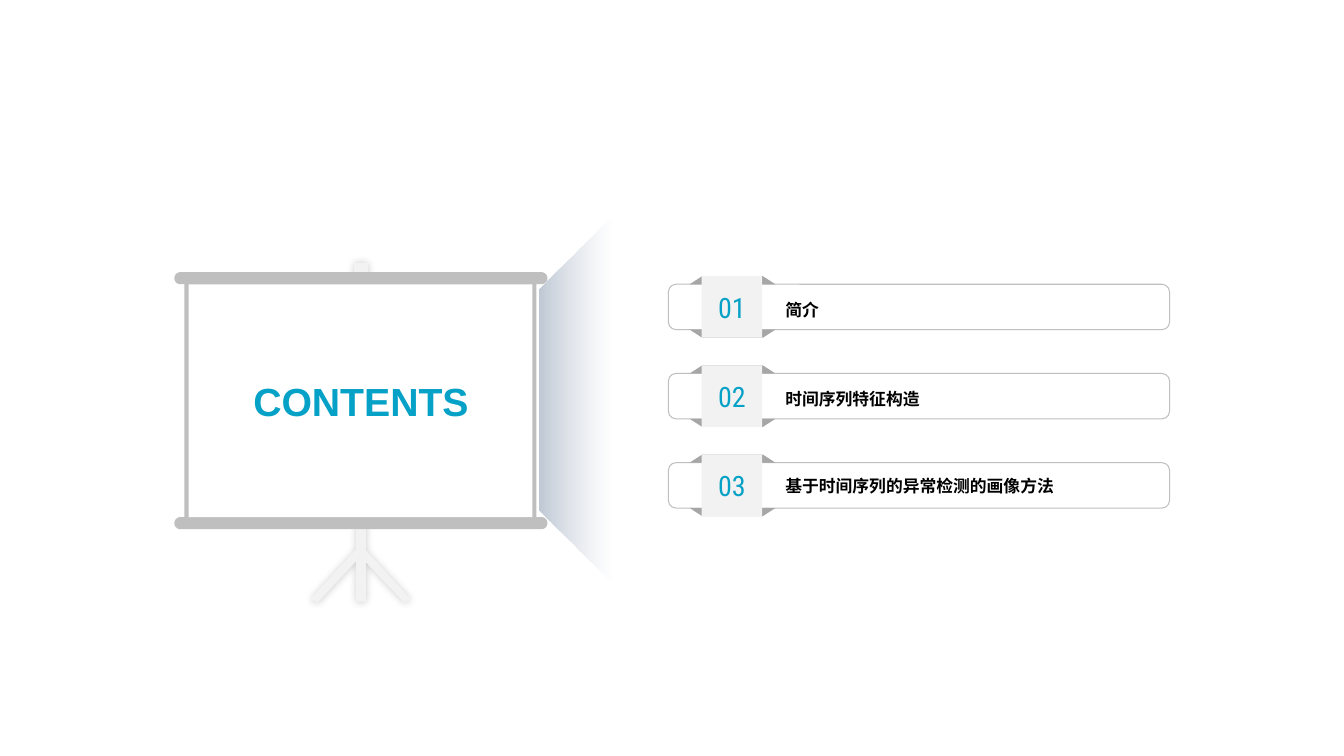
"""Build a contents slide with a projection screen and three numbered entries."""
import math
from dataclasses import dataclass

import lxml.etree
import pptx
import pptx.dml.color
import pptx.enum.shapes
import pptx.enum.text
import pptx.oxml.ns
import pptx.shapes.autoshape
import pptx.slide
import pptx.util

Inches = pptx.util.Inches
Pt = pptx.util.Pt
RGB = pptx.dml.color.RGBColor
MSO_SHAPE = pptx.enum.shapes.MSO_SHAPE
PP_ALIGN = pptx.enum.text.PP_ALIGN
MIDDLE = pptx.enum.text.MSO_ANCHOR.MIDDLE
Shape = pptx.shapes.autoshape.Shape
Point = tuple[float, float]
Box = tuple[float, float, float, float]


@dataclass(frozen=True)
class Theme:
    accent: RGB = RGB(0x06, 0xA1, 0xC6)
    ink: RGB = RGB(0, 0, 0)
    paper: RGB = RGB(0xFF, 0xFF, 0xFF)
    pale: RGB = RGB(0xF2, 0xF2, 0xF2)
    frame: RGB = RGB(0xBF, 0xBF, 0xBF)
    fold: RGB = RGB(0xA6, 0xA6, 0xA6)
    beam_near: RGB = RGB(0xC0, 0xC9, 0xD6)
    beam_far: RGB = RGB(0xD8, 0xDE, 0xE6)
    font: str = "Arial"
    number_font: str = "Roboto Condensed"
    title_size: int = 28
    number_size: int = 20
    entry_size: int = 12


@dataclass(frozen=True)
class Entry:
    number: str
    heading: str
    line_spacing: float = 1.3


THEME = Theme()
ENTRIES = (
    Entry("01", "简介"),
    Entry("02", "时间序列特征构造"),
    Entry("03", "基于时间序列的异常检测的画像方法", 1.0),
)
FIRST_ROW, LAST_ROW = 2.82, 4.59
ROW_PITCH = (LAST_ROW - FIRST_ROW) / (len(ENTRIES) - 1)
ROW_HEIGHT = 0.45
FOLD_HEIGHT = 0.08
ROD_RADIUS = 0.06

STAND_POLE = ((3.51, 2.61), (3.65, 2.61), (3.65, 2.79), (3.51, 2.79))
STAND_LEGS = (
    (3.53, 4.96), (3.63, 4.96), (3.63, 5.46), (4.07, 5.94), (4.01, 5.98),
    (3.63, 5.58), (3.63, 5.97), (3.53, 5.97), (3.53, 5.57), (3.15, 5.98),
    (3.08, 5.94), (3.53, 5.45),
)


def add_block(shapes, kind: MSO_SHAPE, box: Box, fill: RGB | None = None) -> Shape:
    """Add a preset shape without outline or shadow."""
    block = shapes.add_shape(kind, *map(Inches, box))
    block.shadow.inherit = False
    block.line.fill.background()
    if fill is None:
        block.fill.background()
    else:
        block.fill.solid()
        block.fill.fore_color.rgb = fill
    return block


def add_outline(shapes, contours: tuple, fill: RGB) -> Shape:
    """Add one filled freeform made of closed contours."""
    first, *others = [[(Inches(x), Inches(y)) for x, y in c] for c in contours]
    builder = shapes.build_freeform(*first[0])
    builder.add_line_segments(first[1:], close=True)
    for contour in others:
        builder.move_to(*contour[0])
        builder.add_line_segments(contour[1:], close=True)
    outline = builder.convert_to_shape()
    outline.shadow.inherit = False
    outline.line.fill.background()
    outline.fill.solid()
    outline.fill.fore_color.rgb = fill
    return outline


def write(shape: Shape, text: str, font: str, size: int, color: RGB,
          align: PP_ALIGN, bold: bool = False, spacing: float = 1.0) -> None:
    """Put one formatted paragraph, centred vertically, in a shape."""
    frame = shape.text_frame
    frame.text = text
    frame.word_wrap = True
    frame.auto_size = pptx.enum.text.MSO_AUTO_SIZE.NONE
    frame.vertical_anchor = MIDDLE
    paragraph = frame.paragraphs[0]
    paragraph.alignment = align
    paragraph.line_spacing = spacing
    paragraph.font.name = font
    paragraph.font.size = Pt(size)
    paragraph.font.bold = bold
    paragraph.font.color.rgb = color


def rod_cap(x: float, y: float, start: int) -> list[Point]:
    """Return a half circle of points beginning at an angle in degrees."""
    angles = [math.radians(start + step) for step in range(0, 181, 10)]
    return [(x + ROD_RADIUS * math.cos(a), y + ROD_RADIUS * math.sin(a)) for a in angles]


def add_entry_row(slide: pptx.slide.Slide, entry: Entry, top: float) -> None:
    """Draw the outlined bar of an entry and its folded number tab."""
    bar = add_block(slide.shapes, MSO_SHAPE.ROUNDED_RECTANGLE, (6.63, top, 4.97, ROW_HEIGHT))
    bar.line.color.rgb = THEME.frame
    bar.line.width = Pt(0.75)
    tab = slide.shapes.add_group_shape().shapes
    for fold_top, turn in ((top + ROW_HEIGHT, 180), (top - FOLD_HEIGHT, 0)):
        fold = add_block(tab, MSO_SHAPE.TRAPEZOID, (6.84, fold_top, 0.85, FOLD_HEIGHT), THEME.fold)
        fold.adjustments[0] = 1.55
        fold.rotation = turn
    badge = add_block(tab, MSO_SHAPE.RECTANGLE, (6.96, top - FOLD_HEIGHT, 0.6, 0.61), THEME.pale)
    write(badge, entry.number, THEME.number_font, THEME.number_size, THEME.accent, PP_ALIGN.CENTER)


def add_heading(slide: pptx.slide.Slide, entry: Entry, top: float) -> None:
    """Write the heading of an entry over its bar."""
    heading = slide.shapes.add_textbox(*map(Inches, (7.69, top, 3.91, ROW_HEIGHT)))
    write(heading, entry.heading, THEME.font, THEME.entry_size, THEME.ink,
          PP_ALIGN.LEFT, True, entry.line_spacing)


def add_alpha(color_parent, percent: int) -> None:
    """Set the opacity of the colour below an element."""
    qn = pptx.oxml.ns.qn
    color = next(color_parent.iter(qn("a:srgbClr")))
    lxml.etree.SubElement(color, qn("a:alpha"), val=str(percent * 1000))


def add_stand(slide: pptx.slide.Slide) -> None:
    """Draw the tripod with its soft shadow."""
    qn = pptx.oxml.ns.qn
    stand = add_outline(slide.shapes, (STAND_POLE, STAND_LEGS), THEME.pale)
    effects = next(stand.element.iter(qn("a:effectLst")))
    glow = lxml.etree.SubElement(effects, qn("a:outerShdw"), blurRad=str(Pt(6)),
                                 dist="0", dir=str(225 * 60000), rotWithShape="0")
    lxml.etree.SubElement(glow, qn("a:srgbClr"), val=str(THEME.ink))
    add_alpha(glow, 20)


def add_screen(slide: pptx.slide.Slide) -> None:
    """Draw the screen frame, its white surface and the light beam."""
    left, right, upper, lower = 1.79, 5.37, 2.76, 5.19
    frame = [
        (1.83, lower - ROD_RADIUS), (1.83, upper + ROD_RADIUS),
        *rod_cap(left, upper, 90), *rod_cap(right, upper, -90),
        (5.32, upper + ROD_RADIUS), (5.32, lower - ROD_RADIUS),
        *rod_cap(right, lower, -90), *rod_cap(left, lower, 90),
    ]
    add_outline(slide.shapes, (frame,), THEME.frame)
    add_block(slide.shapes, MSO_SHAPE.RECTANGLE, (1.87, 2.82, 3.41, 2.31), THEME.paper)
    beam = add_block(slide.shapes, MSO_SHAPE.TRAPEZOID, (3.89, 3.61, 3.63, 0.71))
    beam.rotation = 270
    beam.adjustments[0] = 1.01
    beam.fill.gradient()
    beam.fill.gradient_angle = 270
    near, far = beam.fill.gradient_stops
    near.position, far.position = 0, 1
    near.color.rgb, far.color.rgb = THEME.beam_near, THEME.beam_far
    far_stop = list(beam.element.iter(pptx.oxml.ns.qn("a:gs")))[-1]
    add_alpha(far_stop, 0)


def add_title(slide: pptx.slide.Slide) -> None:
    """Place the title on the screen, in front of its surface."""
    title = slide.shapes.title
    title.left, title.top, title.width, title.height = map(Inches, (2.4, 3.69, 2.36, 0.57))
    write(title, "CONTENTS", THEME.font, THEME.title_size, THEME.accent, PP_ALIGN.CENTER, True)
    title.text_frame.margin_left = title.text_frame.margin_right = 0
    slide.shapes.element.append(title.element)


def main() -> None:
    """Build and save the presentation."""
    deck = pptx.Presentation()
    deck.slide_width, deck.slide_height = Inches(13.33), Inches(7.5)
    slide = deck.slides.add_slide(deck.slide_layouts.get_by_name("Title Only"))
    rows = [(entry, FIRST_ROW + i * ROW_PITCH) for i, entry in enumerate(ENTRIES)]
    for entry, top in rows:
        add_entry_row(slide, entry, top)
    add_stand(slide)
    add_screen(slide)
    add_title(slide)
    for entry, top in rows:
        add_heading(slide, entry, top)
    deck.save("out.pptx")


if __name__ == "__main__":
    main()
